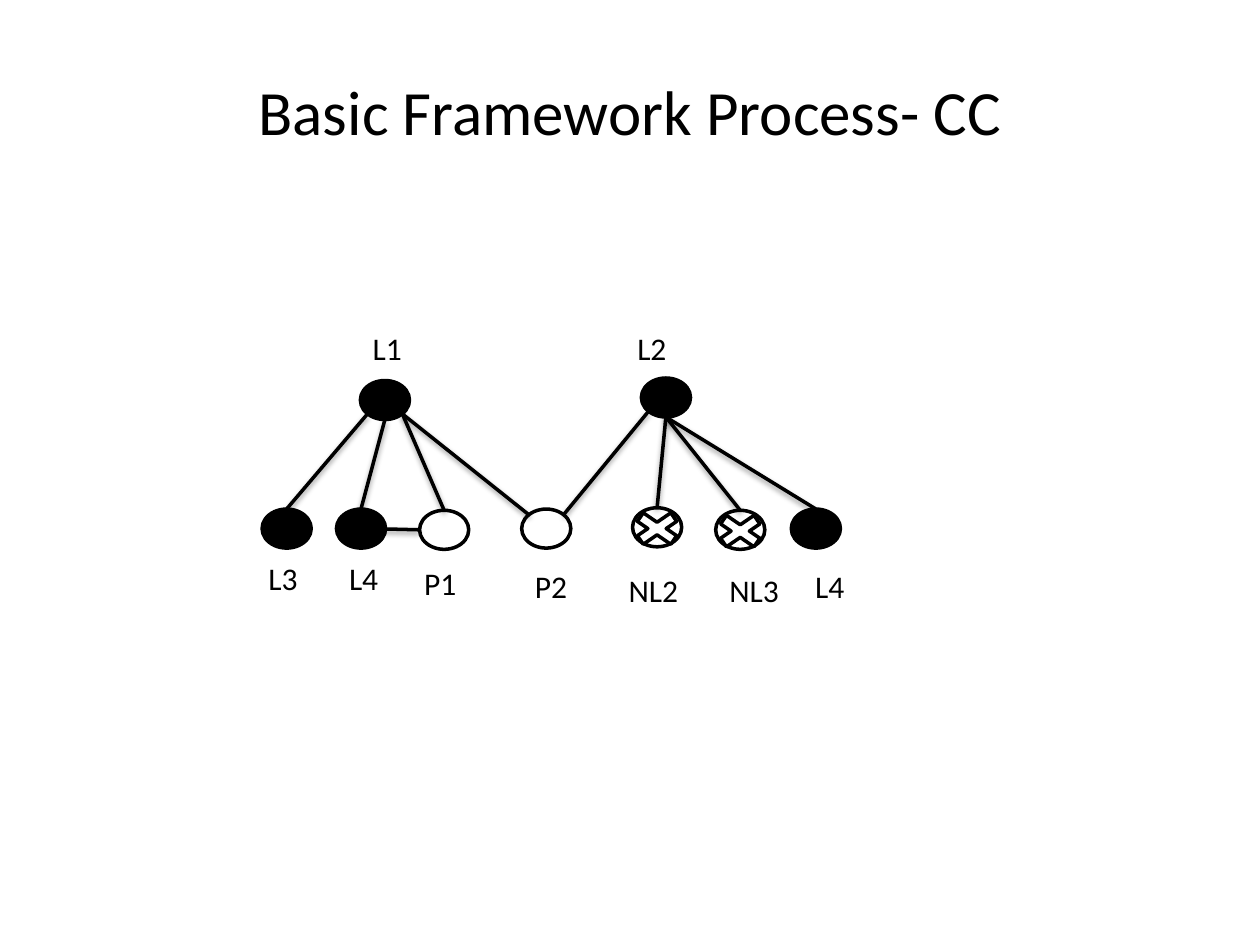
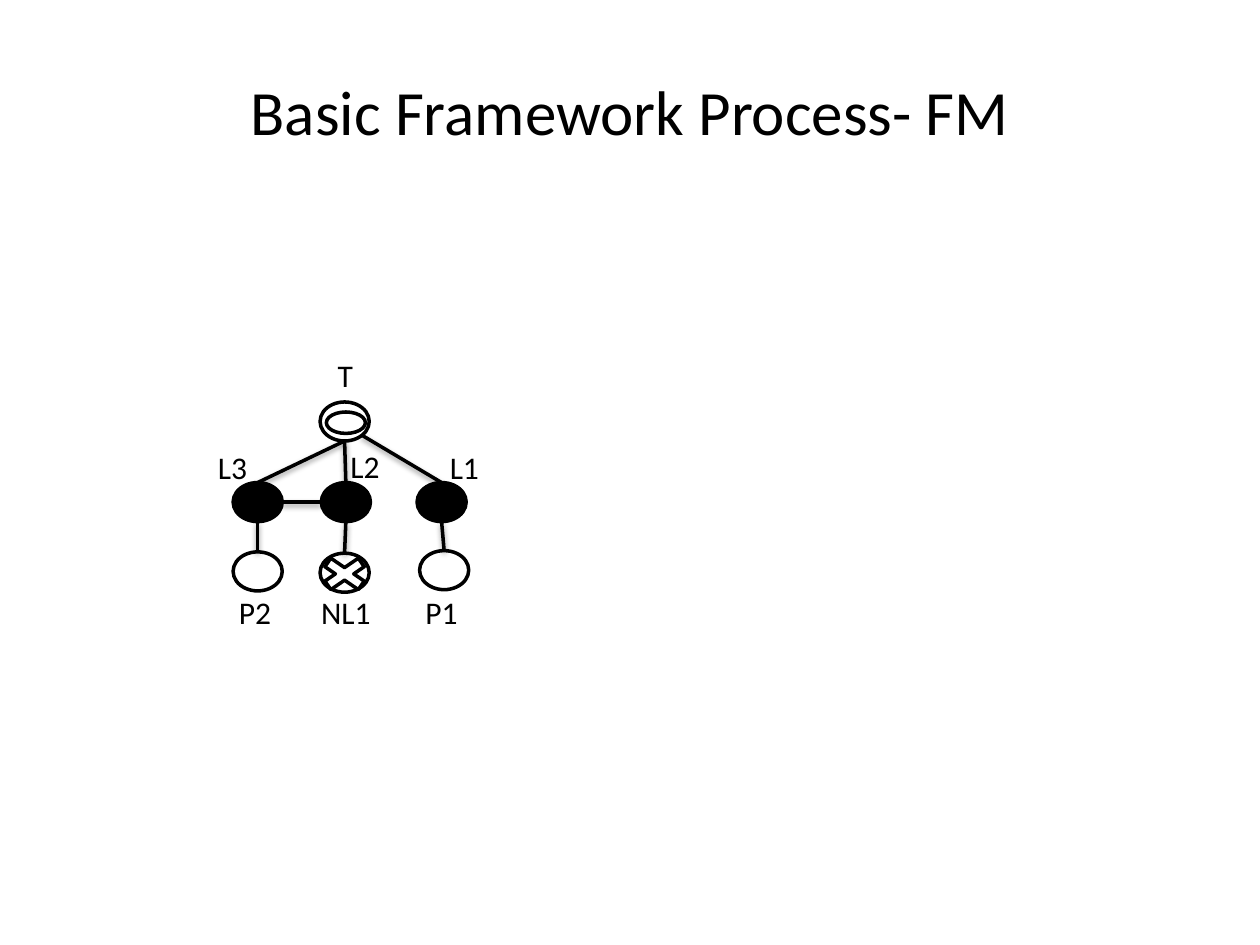
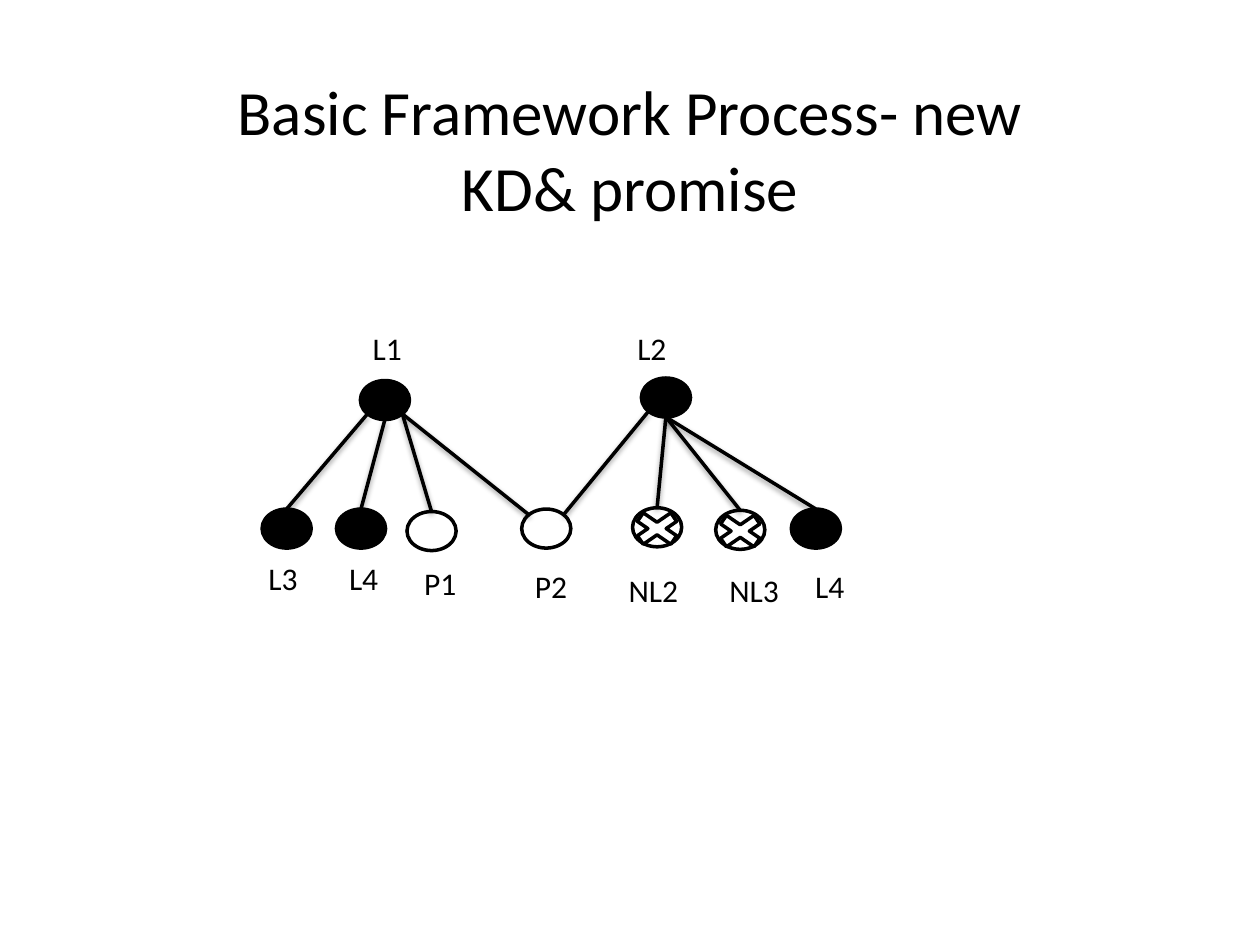
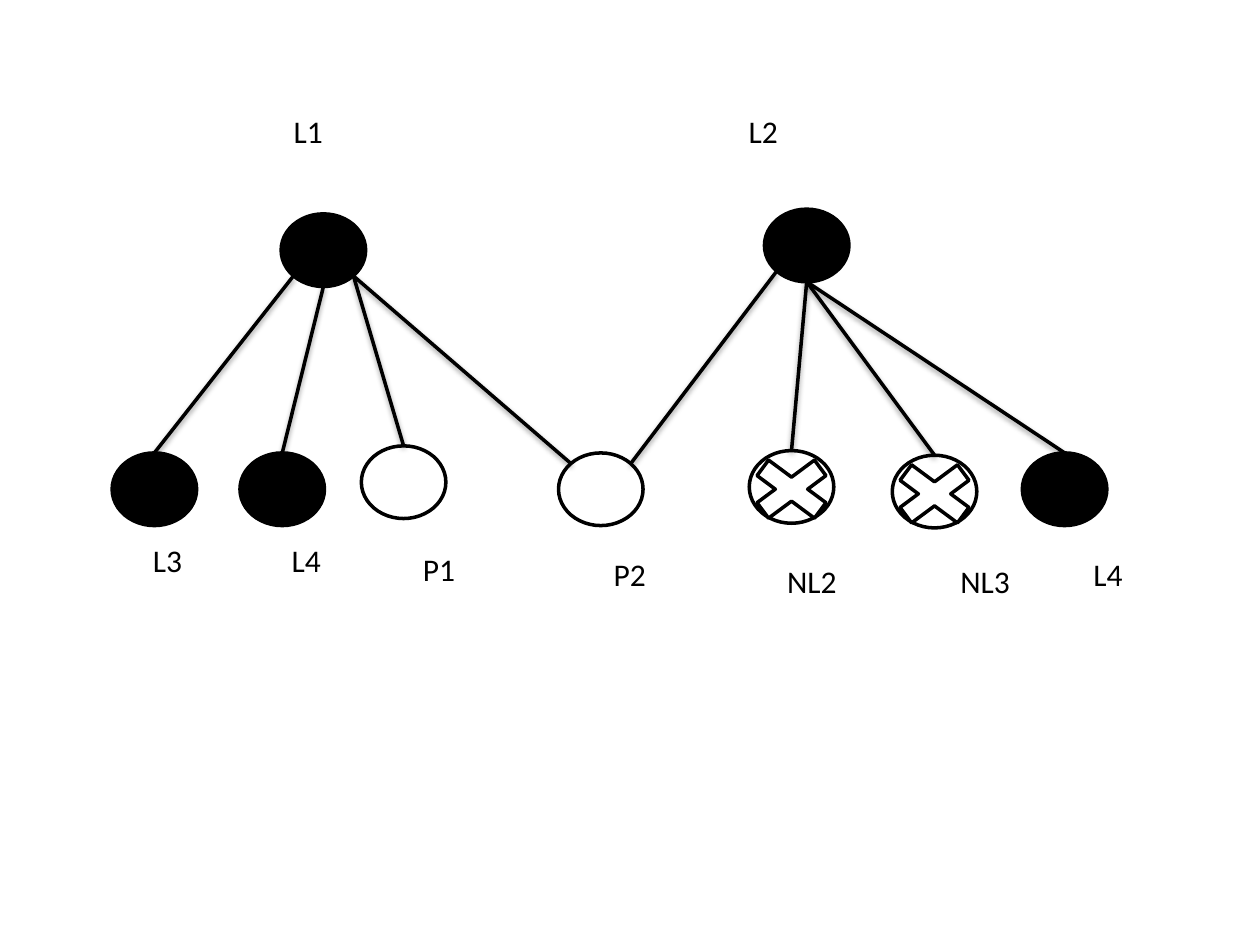
from collections import namedtuple

from lxml import etree
from pptx import Presentation
from pptx.dml.color import RGBColor
from pptx.enum.shapes import MSO_CONNECTOR, MSO_SHAPE
from pptx.enum.text import MSO_ANCHOR, MSO_AUTO_SIZE, PP_ALIGN
from pptx.oxml.ns import qn
from pptx.util import Inches, Pt

LEFT, CENTER, RIGHT = PP_ALIGN.LEFT, PP_ALIGN.CENTER, PP_ALIGN.RIGHT
TOP, GROW = MSO_ANCHOR.TOP, MSO_AUTO_SIZE.SHAPE_TO_FIT_TEXT
OVAL, CROSS = MSO_SHAPE.OVAL, MSO_SHAPE.MATH_MULTIPLY
STRAIGHT = MSO_CONNECTOR.STRAIGHT

WIDE, HIGH = 10, 7.5
FONT, BLACK, WHITE = "Calibri", "000000", "FFFFFF"
NODE_W, NODE_H, TEXT_H = 0.39, 0.31, 0.4
TITLE_ONLY, BLANK = 5, 6

# Mark inside a node: preset, offset from the node's corner, size
MARKS = {
    "cross": (CROSS, -0.06, -0.01, 0.51, 0.35),
    "ring": (OVAL, 0.05, 0.08, 0.31, 0.17),
}
# Places on a node, as shares of its radii from the centre
SITES = {
    "top": (0, -1), "bottom": (0, 1), "left": (-1, 0), "right": (1, 0),
    "tl": (-0.71, -0.71), "tr": (0.71, -0.71),
    "bl": (-0.71, 0.71), "br": (0.71, 0.71), "inner": (0.28, 0),
}

# Node corner, then its label's corner, width and alignment
Node = namedtuple("Node", "text kind x y tx ty tw align", defaults=[RIGHT])
# Where the base point lands, and how far the graph is stretched
View = namedtuple("View", "left top base_x base_y sx sy")

PLAIN = View(0, 0, 0, 0, 1, 1)
LARGE = View(0.89, 1.66, 2.08, 3, 1.72, 1.86)

CC_NODES = {
    "L1": Node("L1", "full", 2.86, 3.02, 2.86, 2.56, 0.79, LEFT),
    "L2": Node("L2", "full", 5.09, 3, 4.96, 2.56, 0.66, LEFT),
    "L3": Node("L3", "full", 2.08, 4.04, 1.67, 4.39, 0.79),
    "L4": Node("L4", "full", 2.67, 4.04, 2.58, 4.39, 0.52),
    "P1": Node("P1", "open", 3.23, 4.06, 3.02, 4.43, 0.7),
    "P2": Node("P2", "open", 4.14, 4.04, 3.9, 4.45, 0.7),
    "NL2": Node("NL2", "cross", 5.02, 4.03, 4.78, 4.48, 0.7),
    "NL3": Node("NL3", "cross", 5.68, 4.05, 5.58, 4.48, 0.7),
    "L4 end": Node("L4", "full", 6.28, 4.04, 6.28, 4.45, 0.52),
}
CC_EDGES = [
    ("L1", "bl", "L3", "top"),
    ("L1", "bottom", "L4", "top"),
    ("L1", "br", "P1", "top"),
    ("L2", "bl", "P2", "tr"),
    ("L1", "br", "P2", "tl"),
    ("L2", "bottom", "NL2", "top"),
    ("L2", "bottom", "NL3", "top"),
    ("L2", "bottom", "L4 end", "top"),
]
FM_NODES = {
    "L1": Node("L1", "full", 3.31, 3.83, 3.34, 3.51, 0.56),
    "L3": Node("L3", "full", 1.85, 3.83, 1.61, 3.51, 0.45),
    "L2": Node("L2", "full", 2.55, 3.83, 2.59, 3.5, 0.52),
    "T": Node("T", "ring", 2.54, 3.19, 2.38, 2.78, 0.52),
    "NL1": Node("NL1", "cross", 2.54, 4.39, 2.34, 4.66, 0.7),
    "P2": Node("P2", "open", 1.85, 4.38, 1.69, 4.66, 0.56),
    "P1": Node("P1", "open", 3.33, 4.37, 3.17, 4.66, 0.56),
}
FM_EDGES = [
    ("T", "bottom", "L3", "top"),
    ("T", "bottom", "L2", "top"),
    ("T", "br", "L1", "top"),
    ("L2", "bottom", "NL1", "top"),
    ("L3", "bottom", "P2", "top"),
    ("L1", "bottom", "P1", "top"),
    ("L2", "left", "L3", "right"),
]


def color(code):
    return RGBColor.from_string(code)


def point(view, x, y):
    return (Inches(view.left + (x - view.base_x) * view.sx),
            Inches(view.top + (y - view.base_y) * view.sy))


def box(view, x, y, w, h):
    return *point(view, x, y), Inches(w * view.sx), Inches(h * view.sy)


def write(frame, text, size, align):
    frame.word_wrap = True
    frame.auto_size = GROW
    frame.vertical_anchor = TOP
    frame.text = text
    para = frame.paragraphs[0]
    para.alignment = align
    para.font.name, para.font.size = FONT, Pt(size)
    para.font.color.rgb = color(BLACK)


def add_form(shapes, preset, place, fill):
    form = shapes.add_shape(preset, *place)
    form.shadow.inherit = False
    form.fill.solid()
    form.fill.fore_color.rgb = color(fill)
    form.line.color.rgb = color(BLACK)
    form.line.width = Pt(2)


def add_node(shapes, view, node):
    fill = BLACK if node.kind == "full" else WHITE
    add_form(shapes, OVAL, box(view, node.x, node.y, NODE_W, NODE_H), fill)
    if node.kind in MARKS:
        preset, dx, dy, w, h = MARKS[node.kind]
        add_form(shapes, preset, box(view, node.x + dx, node.y + dy, w, h), WHITE)


def add_shade(line):
    """Give a connector a soft shadow straight below it."""
    props = line._element.spPr
    effects = etree.SubElement(props, qn("a:effectLst"))
    shade = etree.SubElement(effects, qn("a:outerShdw"), blurRad="40000",
                             dist="20000", dir="5400000", rotWithShape="0")
    tint = etree.SubElement(shade, qn("a:srgbClr"), val=BLACK)
    etree.SubElement(tint, qn("a:alpha"), val="38000")


def spot(view, node, site):
    dx, dy = SITES[site]
    return point(view, node.x + NODE_W / 2 * (1 + dx),
                 node.y + NODE_H / 2 * (1 + dy))


def add_edge(shapes, start, end):
    line = shapes.add_connector(STRAIGHT, *start, *end)
    line.line.color.rgb = color(BLACK)
    line.line.width = Pt(2)
    add_shade(line)


def add_graph(slide, nodes, edges, view=PLAIN):
    shapes = slide.shapes.add_group_shape().shapes
    for node in nodes.values():
        add_node(shapes, view, node)
    for head, out, tail, into in edges:
        add_edge(shapes, spot(view, nodes[head], out),
                 spot(view, nodes[tail], into))
    for node in nodes.values():
        label = shapes.add_textbox(*box(view, node.tx, node.ty, node.tw, TEXT_H))
        write(label.text_frame, node.text, 18, node.align)


def add_slide(deck, title=None, share=0.095):
    """Add a slide; share is the title's part of the slide height."""
    slide = deck.slides.add_slide(deck.slide_layouts[TITLE_ONLY if title else BLANK])
    if title:
        head = slide.shapes.title
        head.left, head.top = Inches(0.14 * WIDE), Inches(0.07 * HIGH)
        head.width, head.height = Inches(0.72 * WIDE), Inches(share * HIGH)
        write(head.text_frame, "Basic Framework Process- " + title, 36, CENTER)
    return slide


def shift(nodes, key, x, y):
    return {**nodes, key: nodes[key]._replace(x=x, y=y)}


def main():
    deck = Presentation()
    deck.slide_width, deck.slide_height = Inches(WIDE), Inches(HIGH)

    add_graph(add_slide(deck, "CC"), shift(CC_NODES, "P1", 3.33, 4.05),
              CC_EDGES + [("L4", "inner", "P1", "left")])
    add_graph(add_slide(deck, "FM"), FM_NODES, FM_EDGES)
    add_graph(add_slide(deck, "new KD& promise", 0.175), CC_NODES, CC_EDGES)
    add_graph(add_slide(deck), shift(CC_NODES, "P1", 3.23, 4.01), CC_EDGES, LARGE)

    deck.save("out.pptx")


if __name__ == "__main__":
    main()
